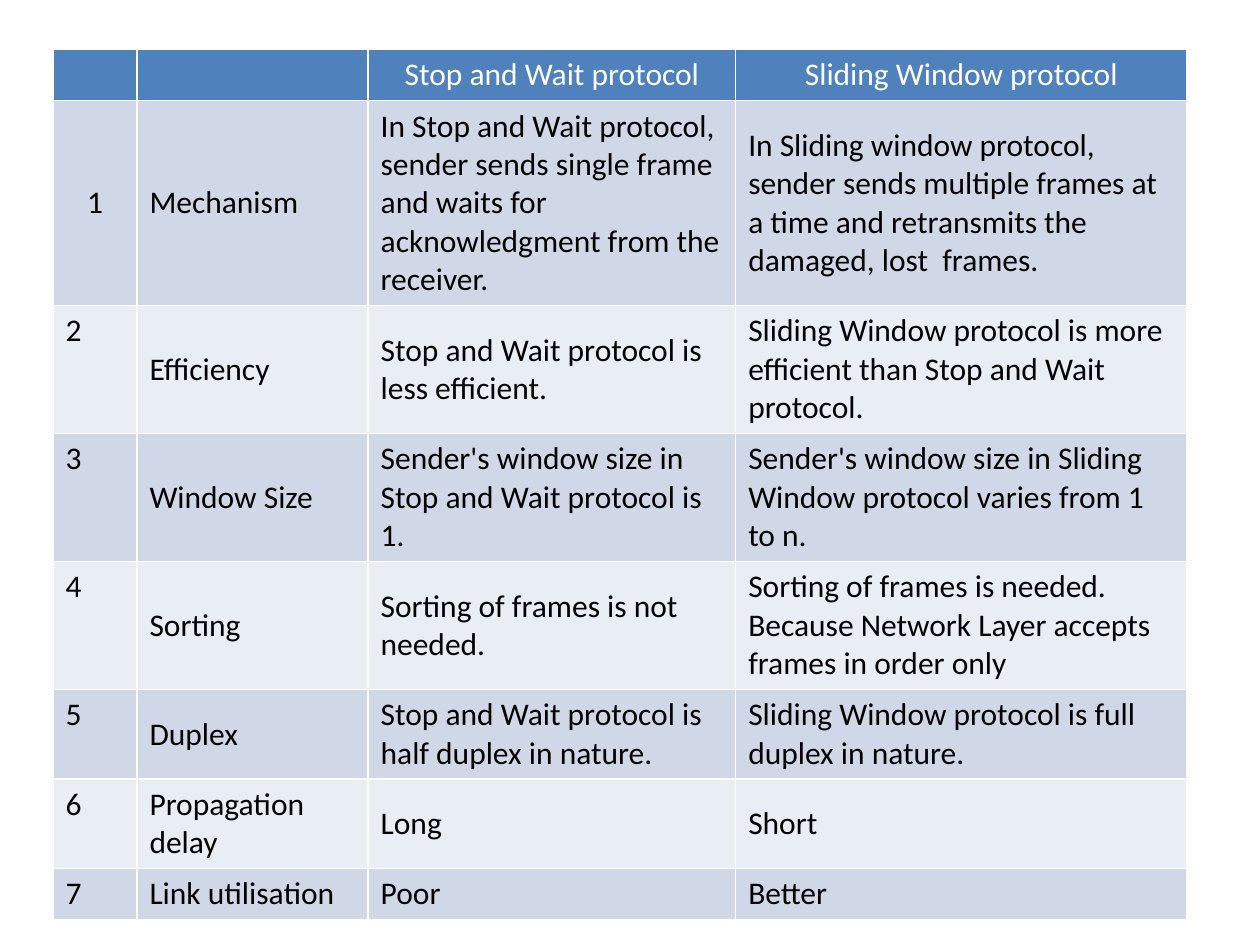
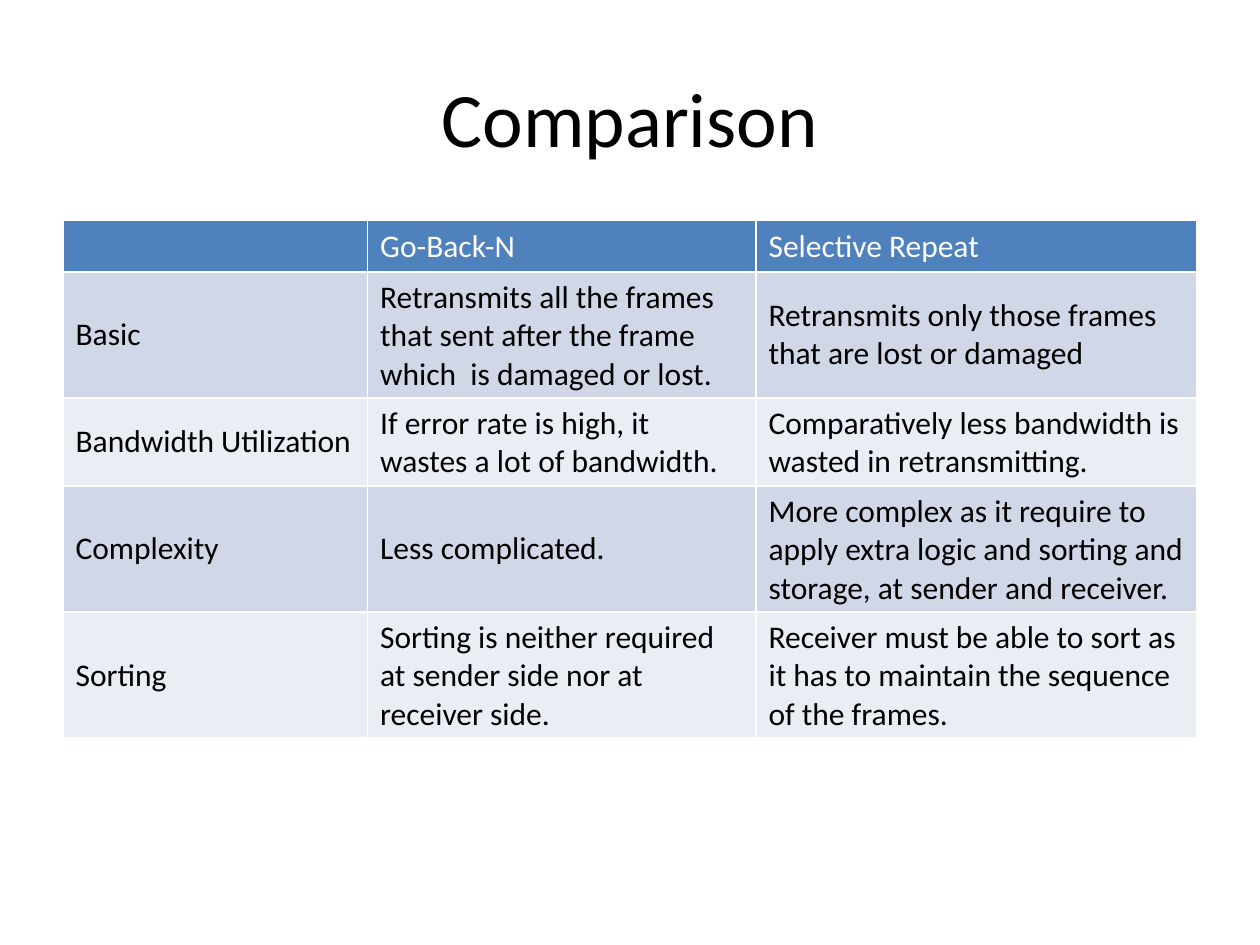
import pptx
import pptx.dml.color
import pptx.enum.text
import pptx.util

Cm = pptx.util.Cm
Pt = pptx.util.Pt
RGBColor = pptx.dml.color.RGBColor
ALIGN = pptx.enum.text.PP_ALIGN
ANCHOR = pptx.enum.text.MSO_ANCHOR

# Content
PROTOCOL_ROWS = [
    ("", "", "Stop and Wait protocol", "Sliding Window protocol"),
    ("1", "Mechanism",
     "In Stop and Wait protocol, sender sends single frame and waits for "
     "acknowledgment from the receiver.",
     "In Sliding window protocol, sender sends multiple frames at a time and "
     "retransmits the damaged, lost  frames."),
    ("2", "Efficiency", "Stop and Wait protocol is less efficient.",
     "Sliding Window protocol is more efficient than Stop and Wait protocol."),
    ("3", "Window Size", "Sender's window size in Stop and Wait protocol is 1.",
     "Sender's window size in Sliding Window protocol varies from 1 to n."),
    ("4", "Sorting", "Sorting of frames is not needed.",
     "Sorting of frames is needed. Because Network Layer accepts frames in order only"),
    ("5", "Duplex", "Stop and Wait protocol is half duplex in nature.",
     "Sliding Window protocol is full duplex in nature."),
    ("6", "Propagation delay", "Long", "Short"),
    ("7", "Link utilisation", "Poor", "Better"),
]

TITLE = "Comparison"
REPEAT_ROWS = [
    ("", "Go-Back-N", "Selective Repeat"),
    ("Basic",
     "Retransmits all the frames that sent after the frame which  is damaged or lost.",
     "Retransmits only those frames that are lost or damaged"),
    ("Bandwidth Utilization", "If error rate is high, it wastes a lot of bandwidth.",
     "Comparatively less bandwidth is wasted in retransmitting."),
    ("Complexity", "Less complicated.",
     "More complex as it require to apply extra logic and sorting and storage, "
     "at sender and receiver."),
    ("Sorting", "Sorting is neither required at sender side nor at receiver side.",
     "Receiver must be able to sort as it has to maintain the sequence of the frames."),
]

# Shared style
FONT = "Calibri"
HEADER_FILL = RGBColor(0x4F, 0x81, 0xBD)
BAND_FILLS = (RGBColor(0xD0, 0xD8, 0xE8), RGBColor(0xE9, 0xED, 0xF4))
WHITE = RGBColor(0xFF, 0xFF, 0xFF)
BLACK = RGBColor(0, 0, 0)
ROW_HEIGHT = Cm(1.03)


def add_text(text_frame, text, size, color, alignment=ALIGN.LEFT):
    paragraph = text_frame.paragraphs[0]
    paragraph.alignment = alignment
    run = paragraph.add_run()
    run.text = text
    run.font.name = FONT
    run.font.size = Pt(size)
    run.font.bold = False
    run.font.color.rgb = color


def add_title(slide, text):
    box = slide.shapes.add_textbox(Cm(1.27), Cm(0.76), Cm(22.86), Cm(3.18))
    box.text_frame.word_wrap = True
    box.text_frame.vertical_anchor = ANCHOR.MIDDLE
    add_text(box.text_frame, text, 44, BLACK, ALIGN.CENTER)


def add_comparison(slide, rows, left, top, column_widths, height,
                   centred=(), top_anchored=()):
    """Banded table; centred and top_anchored hold (row, column) pairs."""
    shape = slide.shapes.add_table(len(rows), len(column_widths), Cm(left), Cm(top),
                                   Cm(sum(column_widths)), Cm(height))
    table = shape.table
    for column, width in zip(table.columns, column_widths):
        column.width = Cm(width)
    for row_index, texts in enumerate(rows):
        table.rows[row_index].height = ROW_HEIGHT
        is_header = row_index == 0
        fill = HEADER_FILL if is_header else BAND_FILLS[(row_index - 1) % 2]
        for column_index, text in enumerate(texts):
            place = (row_index, column_index)
            cell = table.cell(*place)
            cell.fill.solid()
            cell.fill.fore_color.rgb = fill
            cell.vertical_anchor = ANCHOR.TOP if place in top_anchored else ANCHOR.MIDDLE
            if text:
                add_text(cell.text_frame, text, 18, WHITE if is_header else BLACK,
                         ALIGN.CENTER if place in centred else ALIGN.LEFT)
    # Rows grow with their text up to the full table height
    shape.height = Cm(height)


def main():
    presentation = pptx.Presentation()
    presentation.slide_width = Cm(25.4)
    presentation.slide_height = Cm(19.05)
    blank = presentation.slide_layouts[6]

    # Stop and Wait against Sliding Window
    slide = presentation.slides.add_slide(blank)
    add_comparison(slide, PROTOCOL_ROWS, 1.07, 1, (1.69, 4.66, 7.41, 9.1), 17.3,
                   centred={(0, 2), (0, 3), (1, 0)},
                   top_anchored={(row, 0) for row in range(2, len(PROTOCOL_ROWS))})

    # Go-Back-N against Selective Repeat
    slide = presentation.slides.add_slide(blank)
    add_title(slide, TITLE)
    add_comparison(slide, REPEAT_ROWS, 1.27, 4.45, (6.14, 7.83, 8.89), 11.2)

    presentation.save("out.pptx")


if __name__ == "__main__":
    main()
